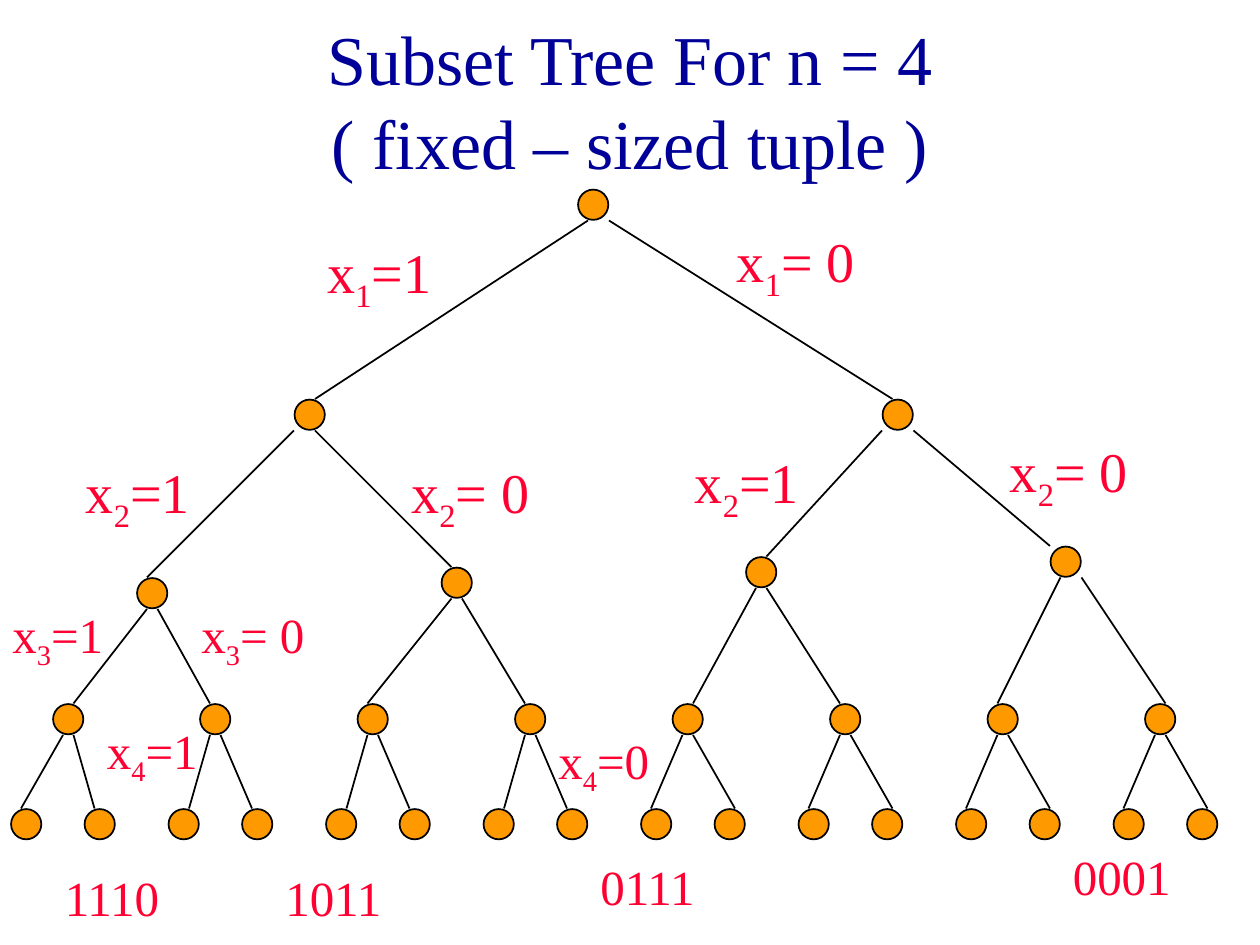
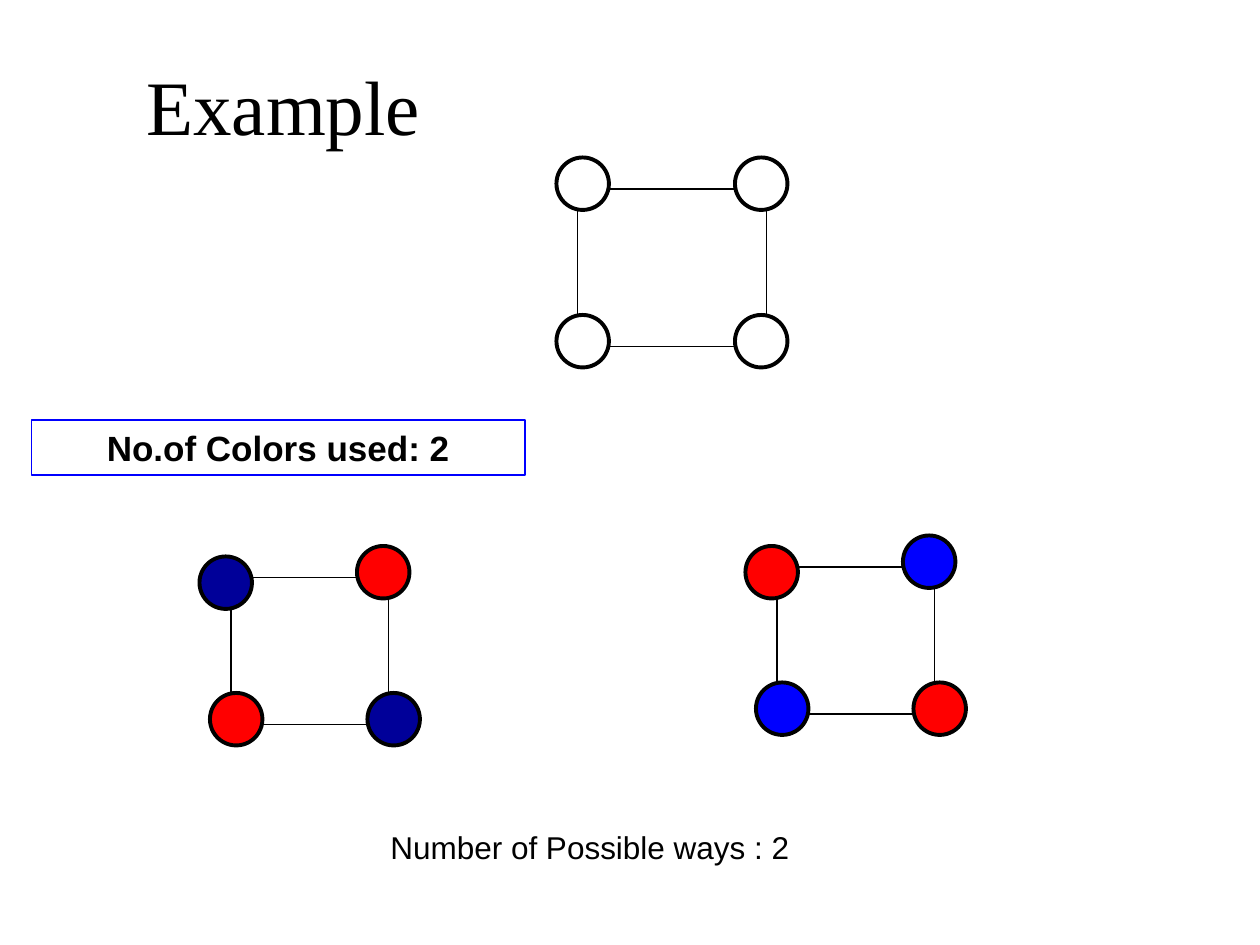
"""Build two slides: a subset tree for n = 4 and a two-colour graph example."""
from lxml import etree
from pptx import Presentation
from pptx.dml.color import RGBColor
from pptx.enum.shapes import MSO_CONNECTOR, MSO_SHAPE
from pptx.enum.text import MSO_ANCHOR, MSO_AUTO_SIZE, PP_ALIGN
from pptx.oxml.ns import qn
from pptx.util import Inches, Pt

STRAIGHT = MSO_CONNECTOR.STRAIGHT
ELLIPSE, RECTANGLE = MSO_SHAPE.OVAL, MSO_SHAPE.RECTANGLE
LEFT, CENTER = PP_ALIGN.LEFT, PP_ALIGN.CENTER
TOP, MIDDLE = MSO_ANCHOR.TOP, MSO_ANCHOR.MIDDLE
NO_FIT = MSO_AUTO_SIZE.NONE

BLACK = RGBColor(0x00, 0x00, 0x00)
WHITE = RGBColor(0xFF, 0xFF, 0xFF)
NAVY = RGBColor(0x00, 0x00, 0x99)
BLUE = RGBColor(0x00, 0x00, 0xFF)
RED = RGBColor(0xFF, 0x00, 0x00)
ORANGE = RGBColor(0xFF, 0x99, 0x00)
CRIMSON = RGBColor(0xFF, 0x00, 0x33)
SERIF, SANS = "Times New Roman", "Arial"

CELL = Inches(1) / 12
TREE_NODE, GRAPH_NODE = 3, 5

# Each tree node: left, top, offsets where its two edges leave, offset where its edge enters.
LEAF_ENTRIES = [(1, 1), (2, 1), (2, 1), (2, 1), (1, 2), (1, 2), (1, 2), (1, 2)]
TREE = [
    [(55, 18, (1, 3), 0)],
    [(28, 38, (0, 2), 2), (84, 38, (0, 3), 1)],
    [(13, 55, (1, 2), 1), (42, 54, (1, 2), 1),
     (71, 53, (1, 2), 2), (100, 52, (1, 3), 0)],
    [(max(5, 4 + 15 * index), 67, (1, 2), entry)
     for index, entry in enumerate([2, 1, 1, 1, 2, 1, 1, 2])],
    [(1 + 15 * pair + 7 * side, 77, (), entry)
     for pair, entries in enumerate(LEAF_ENTRIES)
     for side, entry in enumerate(entries)],
]
EDGE_LABELS = [
    ("1", "=1", 30, 22, 32), ("1", "= 0", 69, 21, 32),
    ("2", "=1", 7, 43, 32), ("2", "= 0", 38, 43, 32),
    ("2", "=1", 65, 42, 32), ("2", "= 0", 95, 41, 32),
    ("3", "=1", 0, 57, 28), ("3", "= 0", 18, 57, 28),
    ("4", "=1", 9, 68, 28), ("4", "=0", 52, 69, 28),
]
TUPLES = [("1110", 5, 82), ("1011", 26, 82), ("0111", 56, 81), ("0001", 101, 80)]

# Corners run top left, top right, bottom left, bottom right.
GRAPHS = [
    ([(53, 15), (70, 15), (53, 30), (70, 30)], [WHITE] * 4),
    ([(19, 53), (34, 52), (20, 66), (35, 66)], [NAVY, RED, RED, NAVY]),
    ([(71, 52), (86, 51), (72, 65), (87, 65)], [RED, BLUE, BLUE, RED]),
]


def cells(*lengths):
    return [round(length * CELL) for length in lengths]


def write(shape, *parts, size, color, font=SERIF, bold=False, align=LEFT, anchor=TOP):
    """Write runs into a shape; every second run is a subscript."""
    frame = shape.text_frame
    frame.word_wrap = True
    frame.auto_size = NO_FIT
    frame.vertical_anchor = anchor
    paragraph = frame.paragraphs[0]
    paragraph.alignment = align
    for index, part in enumerate(parts):
        for line_index, line in enumerate(part.split("\n")):
            if line_index:
                paragraph.add_line_break()
            run = paragraph.add_run()
            run.text = line
            run.font.name, run.font.size, run.font.bold = font, Pt(size), bold
            run.font.color.rgb = color
            if index % 2:
                run._r.get_or_add_rPr().set("baseline", "-25000")


def add_label(slide, box, *parts, **text_format):
    write(slide.shapes.add_textbox(*cells(*box)), *parts, **text_format)


def add_title_slide(presentation, title, box, **text_format):
    slide = presentation.slides.add_slide(presentation.slide_layouts[5])
    shape = slide.shapes.title
    shape.left, shape.top, shape.width, shape.height = cells(*box)
    write(shape, title, align=CENTER, anchor=MIDDLE, **text_format)
    return slide


def add_line(slide, start, end, width):
    connector = slide.shapes.add_connector(STRAIGHT, *cells(*start, *end))
    connector.line.color.rgb = BLACK
    connector.line.width = Pt(width)
    etree.SubElement(connector._element.spPr, qn("a:effectLst"))


def add_node(slide, left, top, size, fill, width):
    node = slide.shapes.add_shape(ELLIPSE, *cells(left, top, size, size))
    node.shadow.inherit = False
    node.fill.solid()
    node.fill.fore_color.rgb = fill
    node.line.color.rgb = BLACK
    node.line.width = Pt(width)


def add_tree(slide):
    for depth, level in enumerate(TREE):
        for index, (left, top, _, entry) in enumerate(level):
            if depth:
                parent_left, parent_top, exits, _ = TREE[depth - 1][index // 2]
                start = (parent_left + exits[index % 2], parent_top + TREE_NODE)
                add_line(slide, start, (left + entry, top), 1)
            add_node(slide, left + 0.06, top + 0.06, TREE_NODE - 0.12, ORANGE, 1)


def add_graph(slide, corners, colors):
    (left_1, top_1), (left_2, top_2), (left_3, top_3), (left_4, top_4) = corners
    upper, lower = top_2 + 3, top_3 + 3
    near, far = left_3 + 2, left_2 + 3
    edges = [
        ((left_1 + GRAPH_NODE, upper), (left_2, upper)),
        ((left_3 + GRAPH_NODE, lower), (left_4, lower)),
        ((near, top_1 + GRAPH_NODE), (near, top_3)),
        ((far, top_2 + GRAPH_NODE), (far, top_4)),
    ]
    for start, end in edges:
        add_line(slide, start, end, 0.75)
    for (left, top), color in zip(corners, colors):
        add_node(slide, left, top, GRAPH_NODE, color, 2.25)


def build_tree_slide(presentation):
    slide = add_title_slide(
        presentation, "Subset Tree For n = 4\n( fixed – sized tuple )",
        (9, 2, 102, 15), size=40, color=NAVY)
    add_tree(slide)
    for subscript, value, left, top, size in EDGE_LABELS:
        add_label(slide, (left, top, 14, size / 3.75), "x", subscript, value,
                  size=size, color=CRIMSON)
    for digits, left, top in TUPLES:
        add_label(slide, (left, top, 12, 6.8), digits, size=28, color=CRIMSON)


def build_example_slide(presentation):
    slide = add_title_slide(presentation, "Example", (-19, 0, 92, 20),
                            size=44, color=BLACK)
    for corners, colors in GRAPHS:
        add_graph(slide, corners, colors)
    color_count = slide.shapes.add_shape(RECTANGLE, *cells(3, 40, 47, 5.25))
    color_count.shadow.inherit = False
    color_count.fill.background()
    color_count.line.color.rgb = BLUE
    color_count.line.width = Pt(1)
    write(color_count, "No.of Colors used: 2", size=20, color=BLACK, font=SANS,
          bold=True, align=CENTER)
    add_label(slide, (36, 78.25, 41, 4.8), "Number of Possible ways : 2",
              size=18, color=BLACK, font=SANS)


def main():
    presentation = Presentation()
    presentation.slide_width, presentation.slide_height = Inches(10), Inches(7.5)
    build_tree_slide(presentation)
    build_example_slide(presentation)
    presentation.save("out.pptx")


if __name__ == "__main__":
    main()
